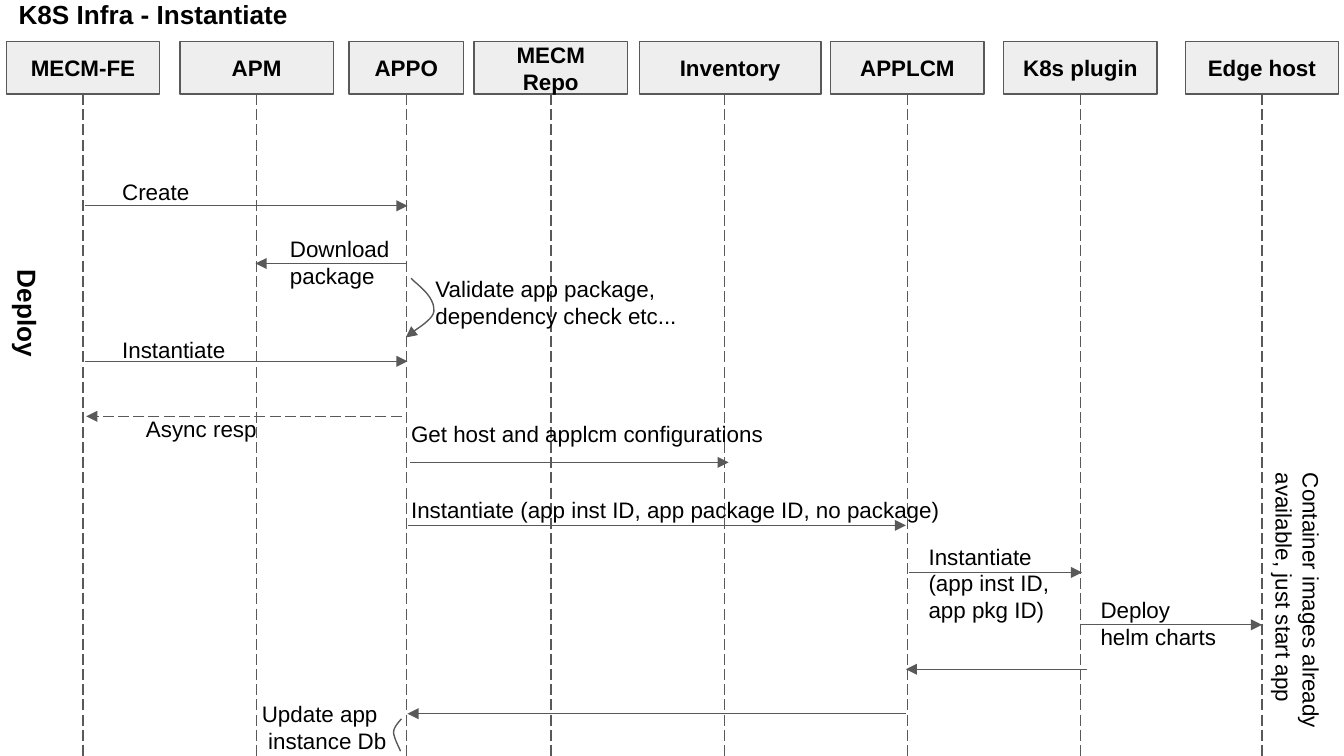
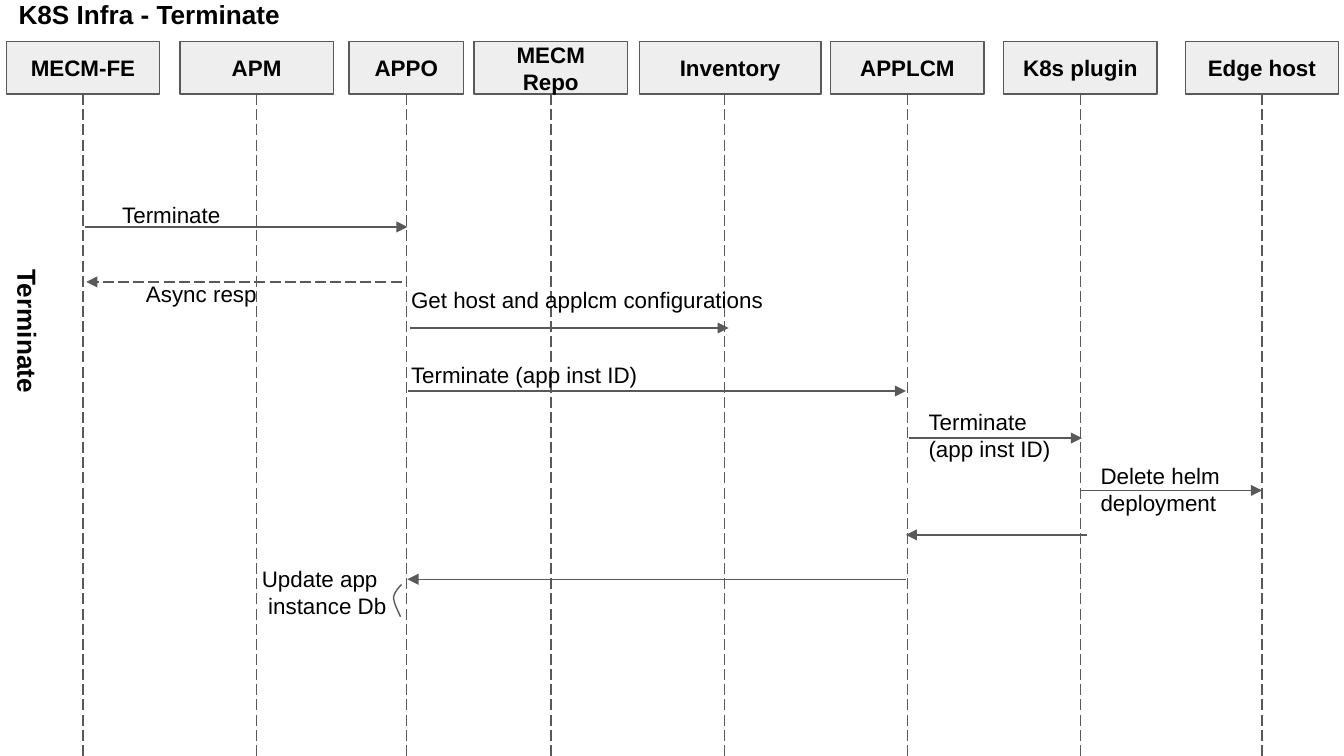
from dataclasses import dataclass
from typing import Any

from pptx import Presentation
from pptx.dml.color import RGBColor
from pptx.enum.dml import MSO_LINE
from pptx.enum.shapes import MSO_CONNECTOR, MSO_SHAPE
from pptx.enum.text import MSO_ANCHOR, MSO_AUTO_SIZE, PP_ALIGN
from pptx.oxml.ns import qn
from pptx.util import Cm, Pt
from lxml import etree

STRAIGHT = MSO_CONNECTOR.STRAIGHT
RECTANGLE = MSO_SHAPE.RECTANGLE
LONG_DASH = MSO_LINE.LONG_DASH
LEFT, CENTER = PP_ALIGN.LEFT, PP_ALIGN.CENTER
TOP, MIDDLE = MSO_ANCHOR.TOP, MSO_ANCHOR.MIDDLE
GROW, FIXED = MSO_AUTO_SIZE.SHAPE_TO_FIT_TEXT, MSO_AUTO_SIZE.NONE

BLACK = RGBColor(0x00, 0x00, 0x00)
STROKE = RGBColor(0x59, 0x59, 0x59)
HEADER_FILL = RGBColor(0xEE, 0xEE, 0xEE)

INSET = Cm(0.25)
FRAME = {
    "margin_left": INSET, "margin_right": INSET,
    "margin_top": INSET, "margin_bottom": INSET, "word_wrap": True,
}
GROWING = FRAME | {"vertical_anchor": TOP, "auto_size": GROW}
HEADER_FRAME = FRAME | {"vertical_anchor": MIDDLE, "auto_size": FIXED}
BODY_FONT = {"name": "Arial", "size": Pt(12), "bold": False}
HEADER_FONT = BODY_FONT | {"bold": True}
TITLE_FONT = HEADER_FONT | {"size": Pt(14)}

HEADER_TOP, HEADER_HEIGHT, LIFELINE_END = 0.79, 0.99, 14.45
TITLE_ROW_HEIGHT = 1.12
TITLE_ONLY = 5
CURVE_STEPS = 12

Point = tuple[float, float]


@dataclass(frozen=True)
class Actor:
    name: str
    lifeline: float
    width: float = 2.9
    header_shift: float = 0


@dataclass(frozen=True)
class Message:
    start: float
    end: float
    y: float
    dashed: bool = False


@dataclass(frozen=True)
class Label:
    text: str
    left: float
    top: float
    width: float
    rows: int = 1
    last_indent: float = 0


@dataclass(frozen=True)
class SideLabel:
    """Text turned clockwise, reading down from top along a centre line."""
    text: str
    center: float
    top: float
    length: float
    height: float


@dataclass(frozen=True)
class Scenario:
    title: str
    phase: SideLabel
    flow_start: float
    request: str
    app_call: str
    plugin_call: Label
    helm_call: Label


ACTORS = [
    Actor("MECM-FE", 1.57),
    Actor("APM", 4.85),
    Actor("APPO", 7.68, width=2.16),
    Actor("MECM Repo", 10.41),
    Actor("Inventory", 13.69, width=3.43, header_shift=0.11),
    Actor("APPLCM", 17.15),
    Actor("K8s plugin", 20.42),
    Actor("Edge host", 23.85),
]

# Heights in the common flow count down from its request arrow.
FLOW_MESSAGES = [
    Message(1.6, 7.7, 0),
    Message(7.59, 1.63, 1.04, dashed=True),
    Message(7.75, 13.77, 1.91),
    Message(7.72, 17.12, 3.1),
    Message(17.17, 20.45, 3.99),
    Message(20.42, 23.85, 4.98),
    Message(20.55, 17.12, 5.82),
    Message(17.12, 7.7, 6.66),
]
FLOW_LABELS = [
    Label("Async resp", 2.51, 0.76, 2.69),
    Label("Get host and applcm configurations", 7.52, 0.87, 8.84),
    Label("Update app\ninstance Db", 4.7, 6.15, 3.12, rows=2, last_indent=0.12),
]
UPDATE_LOOP = [(7.57, 7.37), (7.54, 7.29), (7.44, 7.11), (7.44, 7.01),
               (7.44, 6.91), (7.57, 6.78), (7.59, 6.76)]

PREPARE_MESSAGES = [Message(1.6, 7.7, 3.89), Message(7.7, 4.83, 4.98)]
PREPARE_LABELS = [
    Label("Create", 2.06, 3.12, 2.31),
    Label("Download package", 5.23, 4.19, 2.9, rows=2),
    Label("Validate app package, dependency check etc...", 7.98, 4.95, 5.72, rows=2),
]
VALIDATE_LOOP = [(7.77, 5.26), (7.85, 5.36), (8.23, 5.59), (8.2, 5.89),
                 (8.18, 6.07), (7.77, 6.27), (7.67, 6.38)]
IMAGES_NOTE = SideLabel("Container images already available, just start app",
                        24.52, 8.69, 5.87, 1.54)

INSTANTIATE = Scenario(
    "K8S Infra - Instantiate",
    SideLabel("Deploy", 0.51, 4.85, 2.69, TITLE_ROW_HEIGHT),
    6.83,
    "Instantiate",
    "Instantiate (app inst ID, app package ID, no package)",
    Label("Instantiate\v(app inst ID, app pkg ID)", 17.3, 3.18, 3.43, rows=3),
    Label("Deploy\nhelm charts", 20.55, 4.19, 2.69, rows=2),
)
TERMINATE = Scenario(
    "K8S Infra - Terminate",
    SideLabel("Terminate", 0.51, 4.85, 3.68, TITLE_ROW_HEIGHT),
    4.29,
    "Terminate",
    "Terminate (app inst ID)",
    Label("Terminate\v(app inst ID)", 17.3, 3.18, 3.43, rows=2),
    Label("Delete helm deployment", 20.55, 4.19, 3.25, rows=2),
)


def apply_format(target: Any, values: dict[str, Any]) -> None:
    for attribute, value in values.items():
        setattr(target, attribute, value)


def write_text(shape: Any, text: str, frame: dict[str, Any],
               font: dict[str, Any], alignment: Any = LEFT) -> None:
    shape.text_frame.text = text
    apply_format(shape.text_frame, frame)
    for paragraph in shape.text_frame.paragraphs:
        paragraph.alignment = alignment
        apply_format(paragraph.font, font)
        paragraph.font.color.rgb = BLACK


def style_stroke(line: Any, dashed: bool = False, arrow: bool = False) -> None:
    line.color.rgb = STROKE
    line.width = Pt(0.75)
    if dashed:
        line.dash_style = LONG_DASH
    if arrow:
        stroke = line._get_or_add_ln()
        etree.SubElement(stroke, qn("a:tailEnd"), type="triangle")


def draw_line(slide: Any, start: Point, end: Point,
              dashed: bool = False, arrow: bool = False) -> None:
    ends = [Cm(value) for value in (*start, *end)]
    connector = slide.shapes.add_connector(STRAIGHT, *ends)
    style_stroke(connector.line, dashed, arrow)
    etree.SubElement(connector._element.spPr, qn("a:effectLst"))


def draw_actor(slide: Any, actor: Actor) -> None:
    left = actor.lifeline + actor.header_shift - actor.width / 2
    header = slide.shapes.add_shape(RECTANGLE, Cm(left), Cm(HEADER_TOP),
                                    Cm(actor.width), Cm(HEADER_HEIGHT))
    header.shadow.inherit = False
    header.fill.solid()
    header.fill.fore_color.rgb = HEADER_FILL
    style_stroke(header.line)
    write_text(header, actor.name, HEADER_FRAME, HEADER_FONT, CENTER)
    draw_line(slide, (actor.lifeline, HEADER_TOP + HEADER_HEIGHT),
              (actor.lifeline, LIFELINE_END), dashed=True)


def draw_message(slide: Any, message: Message, origin: float = 0) -> None:
    y = origin + message.y
    draw_line(slide, (message.start, y), (message.end, y), message.dashed, arrow=True)


def draw_label(slide: Any, label: Label, origin: float = 0) -> None:
    box = slide.shapes.add_textbox(Cm(label.left), Cm(origin + label.top),
                                   Cm(label.width), Cm(0.5 + 0.52 * label.rows))
    write_text(box, label.text, GROWING, BODY_FONT)
    if label.last_indent:
        properties = box.text_frame.paragraphs[-1]._p.get_or_add_pPr()
        properties.set("marL", str(Cm(label.last_indent)))


def draw_side_label(slide: Any, label: SideLabel, font: dict[str, Any]) -> None:
    left = label.center - label.length / 2
    top = label.top + (label.length - label.height) / 2
    box = slide.shapes.add_textbox(Cm(left), Cm(top), Cm(label.length), Cm(label.height))
    box.rotation = 90
    write_text(box, label.text, GROWING, font)


def bezier_point(controls: list[Point], t: float) -> Point:
    weights = ((1 - t) ** 3, 3 * t * (1 - t) ** 2, 3 * t ** 2 * (1 - t), t ** 3)
    x, y = (sum(w * p[axis] for w, p in zip(weights, controls)) for axis in (0, 1))
    return x, y


def draw_loop(slide: Any, controls: list[Point], origin: float = 0,
              arrow: bool = False) -> None:
    """Draw joined cubic curves, each sharing its end with the next start."""
    curve = [controls[0]] + [
        bezier_point(controls[first:first + 4], step / CURVE_STEPS)
        for first in range(0, len(controls) - 1, 3)
        for step in range(1, CURVE_STEPS + 1)
    ]
    points = [(Cm(x), Cm(origin + y)) for x, y in curve]
    builder = slide.shapes.build_freeform(*points[0])
    builder.add_line_segments(points[1:], close=False)
    loop = builder.convert_to_shape()
    loop.shadow.inherit = False
    loop.fill.background()
    style_stroke(loop.line, arrow=arrow)


def add_scenario(deck: Any, scenario: Scenario) -> Any:
    slide = deck.slides.add_slide(deck.slide_layouts[TITLE_ONLY])
    title = slide.shapes.title
    apply_format(title, {"left": Cm(0.1), "top": Cm(-0.28),
                         "width": Cm(10.97), "height": Cm(TITLE_ROW_HEIGHT)})
    write_text(title, scenario.title, GROWING, TITLE_FONT)
    for actor in ACTORS:
        draw_actor(slide, actor)
    draw_side_label(slide, scenario.phase, TITLE_FONT)

    start = scenario.flow_start
    for message in FLOW_MESSAGES:
        draw_message(slide, message, start)
    calls = [
        Label(scenario.request, 2.06, -0.73, 3.25),
        Label(scenario.app_call, 7.52, 2.29, 10.74),
        scenario.plugin_call,
        scenario.helm_call,
    ]
    for label in calls + FLOW_LABELS:
        draw_label(slide, label, start)
    draw_loop(slide, UPDATE_LOOP, start)
    return slide


def add_preparation(slide: Any) -> None:
    """Add the package steps before instantiation and the note on images."""
    for message in PREPARE_MESSAGES:
        draw_message(slide, message)
    for label in PREPARE_LABELS:
        draw_label(slide, label)
    draw_loop(slide, VALIDATE_LOOP, arrow=True)
    draw_side_label(slide, IMAGES_NOTE, BODY_FONT)


def main() -> None:
    deck = Presentation()
    deck.slide_width, deck.slide_height = Cm(25.4), Cm(14.29)
    add_preparation(add_scenario(deck, INSTANTIATE))
    add_scenario(deck, TERMINATE)
    deck.save("out.pptx")


if __name__ == "__main__":
    main()
